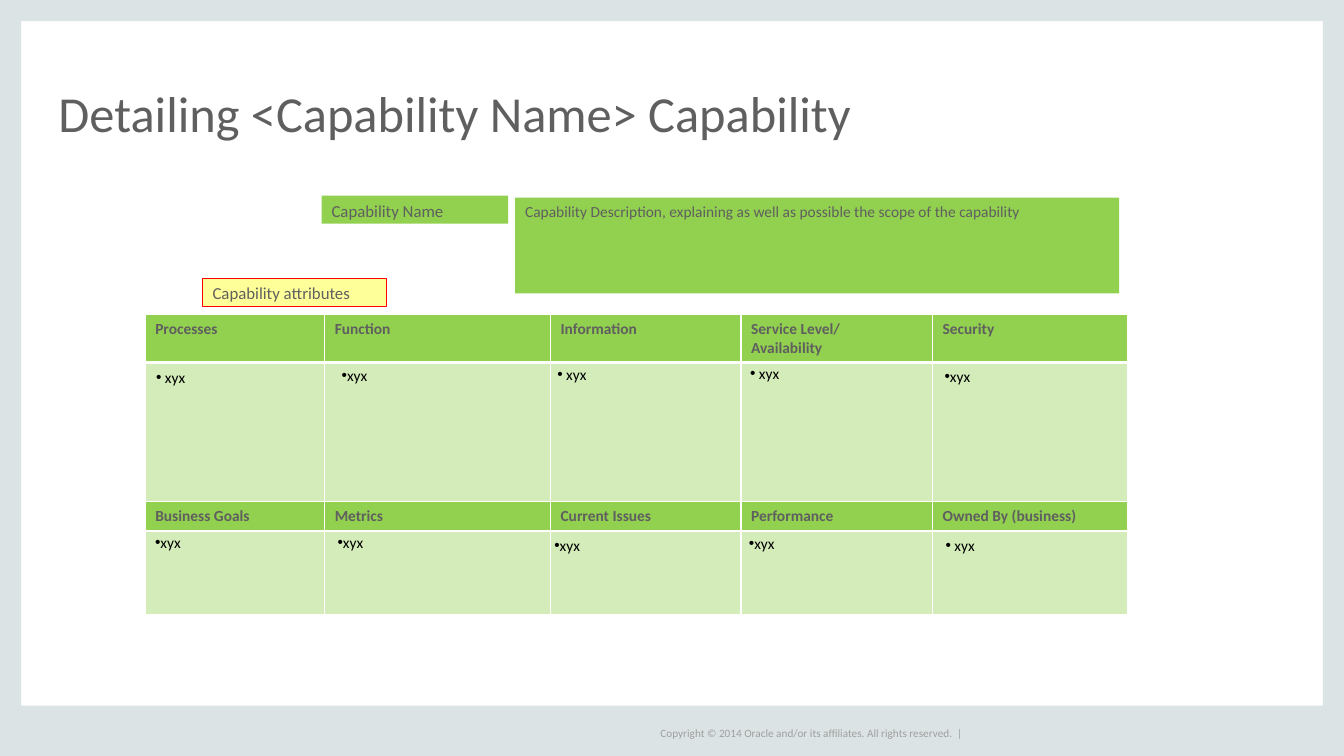
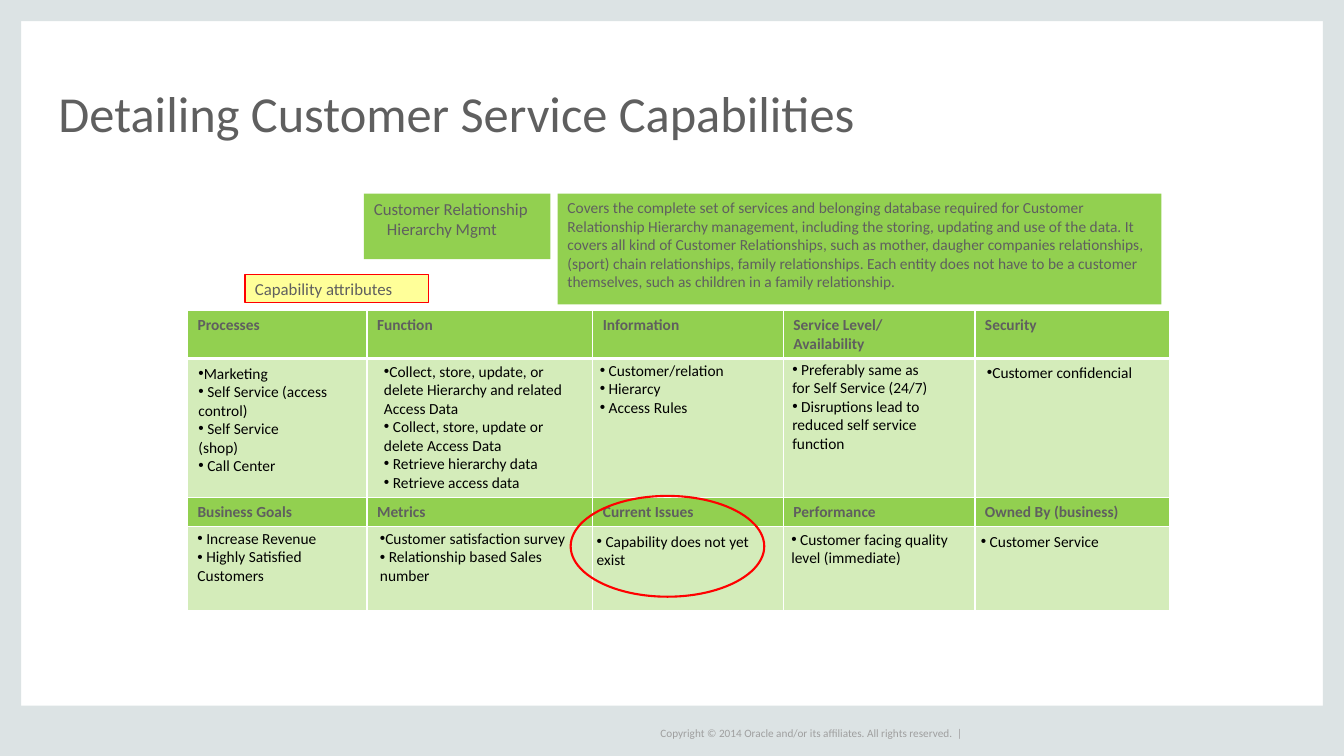
from itertools import accumulate

from lxml import etree
from pptx import Presentation
from pptx import util as u
from pptx.dml.color import RGBColor
from pptx.enum import shapes, text
from pptx.oxml import ns

FONT = "Calibri"
GREY = RGBColor(0x5F, 0x5F, 0x5F)
PALE_GREY = RGBColor(0x9F, 0x9F, 0x9F)
FRAME = RGBColor(0xDC, 0xE3, 0xE4)
GREEN = RGBColor(0x92, 0xD0, 0x50)
PALE_GREEN = RGBColor(0xD4, 0xEC, 0xBA)
YELLOW = RGBColor(0xFF, 0xFF, 0x99)
RED = RGBColor(0xFF, 0x00, 0x00)
BLACK = RGBColor(0, 0, 0)

WIDTH, HEIGHT = 13.33, 7.5
EDGE, FOOT = 0.21, 0.5
COPYRIGHT = "Copyright © 2014 Oracle and/or its affiliates. All rights reserved.  |"

HEADINGS = [
    ["Processes", "Function", "Information", "Service Level/\nAvailability", "Security"],
    ["Business Goals", "Metrics", "Current Issues", "Performance", "Owned By (business)"],
]
COLUMNS = [1.78, 2.24, 1.89, 1.9, 1.93]
ROWS = [0.46, 1.38, 0.29, 0.83]

# Each note: shift right and down from its cell's corner, then its width
NOTE_PLACES = [
    [(0.01, 0.02, 1.77), (0.07, 0, 2.09), (-0.03, -0.01, 1.55), (-0.01, -0.02, 1.58), (0.02, 0.01, 1.78)],
    [(0, -0.01, 1.75), (0.03, -0.01, 2.17), (-0.06, 0.02, 1.9), (-0.02, 0, 1.87), (0.03, 0.02, 1.52)],
]

CAPABILITIES = [
    {
        "title": "Detailing <Capability Name> Capability",
        "name": "Capability Name",
        "name_top": 1.94,
        "name_height": 0.28,
        "description": "Capability Description, explaining as well as possible the scope of the capability",
        "description_height": 0.95,
        "table_corner": (1.44, 3.12),
        "owner_shift": 0,
        "issue_circled": False,
        "notes": [
            [[" xyx"], ["xyx"], [" xyx"], [" xyx"], ["xyx"]],
            [["xyx"], ["xyx"], ["xyx"], ["xyx"], [" xyx"]],
        ],
    },
    {
        "title": "Detailing Customer Service Capabilities",
        "name": "Customer Relationship Hierarchy Mgmt",
        "name_top": 1.92,
        "name_height": 0.65,
        "description": (
            "Covers the complete set of services and belonging database required for Customer "
            "Relationship Hierarchy management, including the storing, updating and use of the data. "
            "It covers all kind of Customer Relationships, such as mother, daugher companies "
            "relationships, (sport) chain relationships, family relationships. Each entity does not "
            "have to be a customer themselves, such as children in a family relationship."
        ),
        "description_height": 1.1,
        "table_corner": (1.86, 3.08),
        "owner_shift": -0.07,
        "issue_circled": True,
        "notes": [
            [
                ["Marketing", " Self Service (access control)", " Self Service\n(shop)", " Call Center"],
                [
                    "Collect, store, update, or delete Hierarchy and related Access Data",
                    " Collect, store, update or delete Access Data",
                    " Retrieve hierarchy data",
                    " Retrieve access data",
                ],
                [" Customer/relation", " Hierarcy", " Access Rules"],
                [
                    " Preferably same as for Self Service (24/7)",
                    " Disruptions lead to reduced self service function",
                ],
                ["Customer confidencial"],
            ],
            [
                [" Increase Revenue", " Highly Satisfied Customers"],
                ["Customer satisfaction survey", " Relationship based Sales number"],
                [" Capability does not yet\nexist"],
                [" Customer facing quality level (immediate)"],
                [" Customer Service"],
            ],
        ],
    },
]


def inches(*lengths):
    return [u.Inches(length) for length in lengths]


def set_font(para, size, color, bold=False):
    font = para.font
    font.name, font.size, font.bold = FONT, u.Pt(size), bold
    font.color.rgb = color


def add_block(page, place, fill=None, line=None, line_width=0.75, kind=shapes.MSO_SHAPE.RECTANGLE):
    block = page.shapes.add_shape(kind, *inches(*place))
    block.shadow.inherit = False
    if fill is None:
        block.fill.background()
    else:
        block.fill.solid()
        block.fill.fore_color.rgb = fill
    if line is None:
        block.line.fill.background()
    else:
        block.line.color.rgb = line
        block.line.width = u.Pt(line_width)
    return block


def add_label(page, place, words, size, hanging=0, **look):
    frame = add_block(page, place, **look).text_frame
    frame.word_wrap = True
    frame.vertical_anchor = text.MSO_ANCHOR.TOP
    para = frame.paragraphs[0]
    para.text = words
    para.alignment = text.PP_ALIGN.LEFT
    if hanging:
        props = para._p.get_or_add_pPr()
        props.set("marL", str(u.Inches(hanging)))
        props.set("indent", str(-u.Inches(hanging)))
    set_font(para, size, GREY)


def add_notes(page, place, notes):
    frame = page.shapes.add_textbox(*inches(*place)).text_frame
    frame.word_wrap = True
    for number, note in enumerate(notes):
        para = frame.add_paragraph() if number else frame.paragraphs[0]
        para.text = note
        props = para._p.get_or_add_pPr()
        etree.SubElement(props, ns.qn("a:buFont"), typeface="Arial")
        etree.SubElement(props, ns.qn("a:buChar"), char="•")
        set_font(para, 11, BLACK)


def add_borders(cell, bottom):
    """Draw white cell edges; bottom is the width of the lower one in points."""
    props = cell._tc.get_or_add_tcPr()
    for place, (side, width) in enumerate([("L", 1), ("R", 1), ("T", 1), ("B", bottom)]):
        edge = etree.Element(ns.qn("a:ln" + side), w=str(u.Pt(width)))
        fill = etree.SubElement(edge, ns.qn("a:solidFill"))
        etree.SubElement(fill, ns.qn("a:srgbClr"), val="FFFFFF")
        props.insert(place, edge)


def add_attribute_table(page, corner):
    place = inches(*corner, sum(COLUMNS), sum(ROWS))
    table = page.shapes.add_table(len(ROWS), len(COLUMNS), *place).table
    for column, width in zip(table.columns, COLUMNS):
        column.width = u.Inches(width)
    for index, height in enumerate(ROWS):
        table.rows[index].height = u.Inches(height)
        is_heading = index % 2 == 0
        for number, cell in enumerate(table.rows[index].cells):
            cell.fill.solid()
            cell.fill.fore_color.rgb = GREEN if is_heading else PALE_GREEN
            para = cell.text_frame.paragraphs[0]
            if is_heading:
                para.text = HEADINGS[index // 2][number]
            set_font(para, 11, GREY, bold=is_heading)
            add_borders(cell, bottom=1 if index else 3)


def prepare_layout(deck):
    """Give the title-only layout its grey frame, footer and title position."""
    layout = deck.slide_layouts.get_by_name("Title Only")
    for holder in list(layout.placeholders):
        if holder.placeholder_format.type == shapes.PP_PLACEHOLDER.TITLE:
            holder.left, holder.top, holder.width, holder.height = inches(0.58, 0.44, 12.17, 0.97)
        else:
            holder._element.getparent().remove(holder._element)
    return layout


def add_frame(page):
    """Build the shared frame and footer, and move them to the page's layout."""
    bands = [
        (0, 0, EDGE, HEIGHT),
        (WIDTH - EDGE, 0, EDGE, HEIGHT),
        (0, HEIGHT - FOOT, WIDTH, FOOT),
        (0, 0, WIDTH, EDGE),
    ]
    parts = [add_block(page, band, fill=FRAME) for band in bands]
    footer = page.shapes.add_textbox(*inches(6.55, 7.17, 3.05, 0.2))
    frame = footer.text_frame
    frame.margin_left = frame.margin_right = frame.margin_top = frame.margin_bottom = 0
    frame.vertical_anchor = text.MSO_ANCHOR.MIDDLE
    frame.word_wrap = False
    frame.paragraphs[0].text = COPYRIGHT
    set_font(frame.paragraphs[0], 8, PALE_GREY)
    for part in parts + [footer]:
        page.slide_layout.shapes._spTree.append(part._element)


def set_title(page, words):
    frame = page.shapes.title.text_frame
    frame.margin_left = frame.margin_right = frame.margin_top = frame.margin_bottom = 0
    frame.auto_size = text.MSO_AUTO_SIZE.NONE
    frame.vertical_anchor = text.MSO_ANCHOR.BOTTOM
    para = frame.paragraphs[0]
    para.text = words
    para.alignment = text.PP_ALIGN.LEFT
    para.line_spacing = 0.8
    set_font(para, 36, GREY)


def fill_page(page, capability):
    left, top = capability["table_corner"]
    set_title(page, capability["title"])
    add_label(page, (left + 1.75, capability["name_top"], 1.85, capability["name_height"]),
              capability["name"], 12, hanging=0.13, fill=GREEN)
    add_label(page, (left + 3.67, top - 1.16, 5.99, capability["description_height"]),
              capability["description"], 11, fill=GREEN)
    add_label(page, (left + 0.57, top - 0.36, 1.82, 0.28),
              "Capability attributes", 12, fill=YELLOW, line=RED)
    add_attribute_table(page, (left, top))

    column_lefts = list(accumulate(COLUMNS, initial=left))
    row_tops = list(accumulate(ROWS, initial=top))
    for band, (places, cells) in enumerate(zip(NOTE_PLACES, capability["notes"])):
        row = 2 * band + 1
        for column, ((right, down, width), notes) in enumerate(zip(places, cells)):
            is_owner = band == 1 and column == len(COLUMNS) - 1
            shift = right + (capability["owner_shift"] if is_owner else 0)
            place = (column_lefts[column] + shift, row_tops[row] + down, width, ROWS[row])
            add_notes(page, place, notes)
    if capability["issue_circled"]:
        add_block(page, (column_lefts[2] - 0.22, row_tops[2], 1.92, 1),
                  line=RED, line_width=1.5, kind=shapes.MSO_SHAPE.OVAL)


def main():
    deck = Presentation()
    deck.slide_width, deck.slide_height = inches(WIDTH, HEIGHT)
    layout = prepare_layout(deck)
    pages = [deck.slides.add_slide(layout) for _ in CAPABILITIES]
    add_frame(pages[0])
    for page, capability in zip(pages, CAPABILITIES):
        fill_page(page, capability)
    deck.save("out.pptx")


if __name__ == "__main__":
    main()
